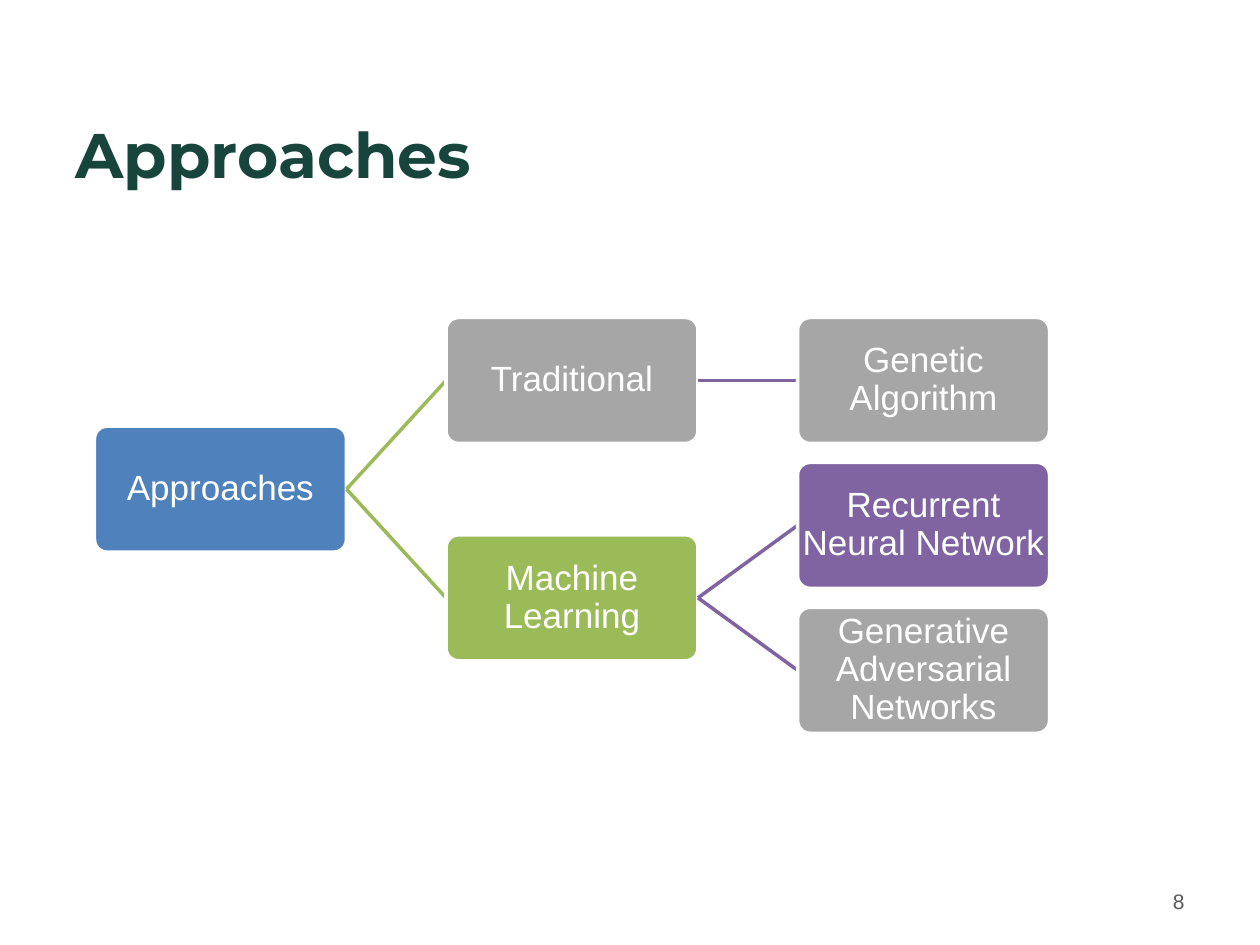
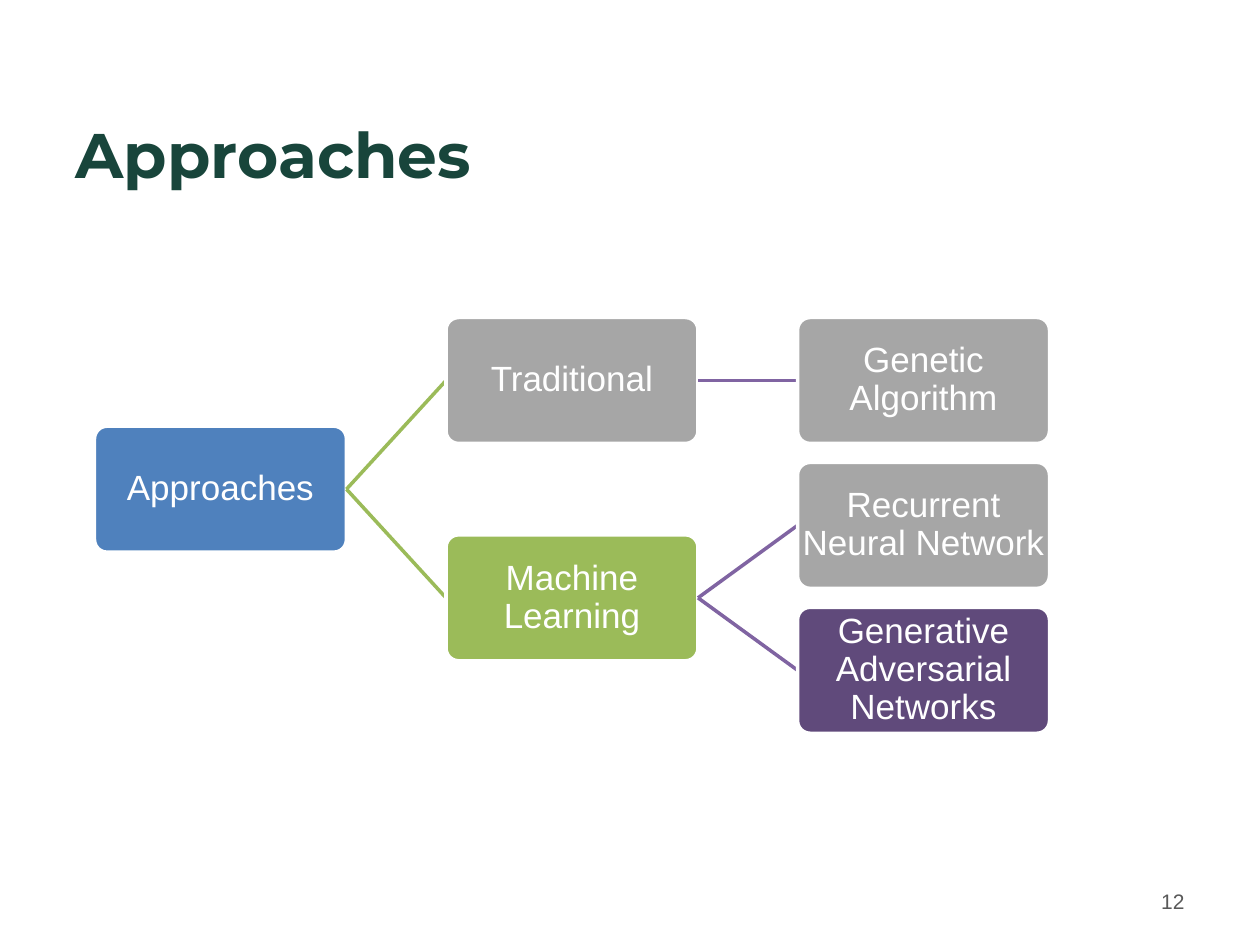
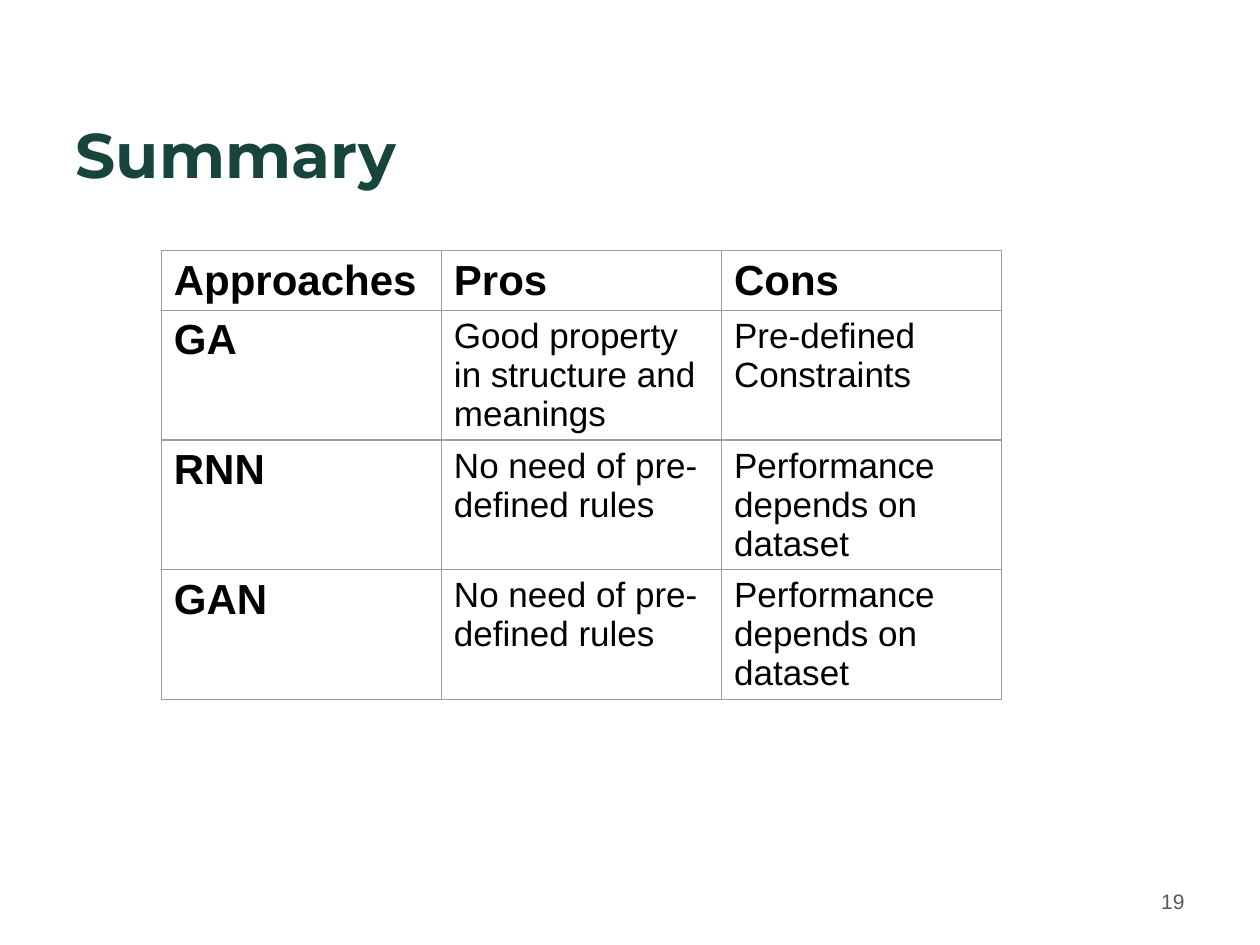
from lxml import etree
from pptx import Presentation
from pptx.dml.color import RGBColor
from pptx.enum.shapes import MSO_CONNECTOR, MSO_SHAPE
from pptx.enum.text import MSO_ANCHOR, MSO_AUTO_SIZE, PP_ALIGN
from pptx.oxml.ns import qn
from pptx.util import Inches, Pt

LINE = MSO_CONNECTOR.STRAIGHT
ROUND = MSO_SHAPE.ROUNDED_RECTANGLE
TOP, MIDDLE = MSO_ANCHOR.TOP, MSO_ANCHOR.MIDDLE
FIXED = MSO_AUTO_SIZE.NONE
LEFT, CENTER, RIGHT = PP_ALIGN.LEFT, PP_ALIGN.CENTER, PP_ALIGN.RIGHT

COLORS = {
    "title": "18453B",
    "page": "595959",
    "text": "000000",
    "white": "FFFFFF",
    "blue": "4F81BD",
    "green": "9BBB59",
    "purple": "8064A2",
    "plum": "604A7B",
    "gray": "A6A6A6",
    "grid": "9E9E9E",
}
EDGES = {1: "green", 2: "purple"}
NODES = [
    ("Approaches", 0, 0.75, None),
    ("Traditional", 1, 0, "Approaches"),
    ("Genetic Algorithm", 2, 0, "Traditional"),
    ("Machine Learning", 1, 1.5, "Approaches"),
    ("Recurrent Neural Network", 2, 1, "Machine Learning"),
    ("Generative Adversarial Networks", 2, 2, "Machine Learning"),
]
ACTIVE = {"Approaches": "blue", "Machine Learning": "green"}
ROWS = [
    ("Approaches", "Pros", "Cons"),
    ("GA", "Good property in structure and meanings", "Pre-defined Constraints"),
    ("RNN", "No need of pre-defined rules", "Performance depends on dataset"),
    ("GAN", "No need of pre-defined rules", "Performance depends on dataset"),
]


def rgb(name):
    return RGBColor.from_string(COLORS[name])


def write(frame, text, size=20, color="text", font="Arial", bold=False,
          align=LEFT, anchor=TOP, pad=(0.1, 0.05), space=None):
    frame.word_wrap = True
    frame.auto_size = FIXED
    frame.vertical_anchor = anchor
    frame.margin_left = frame.margin_right = Inches(pad[0])
    frame.margin_top = frame.margin_bottom = Inches(pad[1])
    para = frame.paragraphs[0]
    para.alignment = align
    para.line_spacing = space
    run = para.add_run()
    run.text = text
    run.font.size = Pt(size)
    run.font.name = font
    run.font.bold = bold
    run.font.color.rgb = rgb(color)


def add_page(deck, title, number):
    slide = deck.slides.add_slide(deck.slide_layouts[5])
    head = slide.shapes.title
    head.left, head.top = Inches(0.5), Inches(0.82)
    head.width, head.height = Inches(9), Inches(1.07)
    write(head.text_frame, title, size=36, color="title", font="Montserrat",
          bold=True, pad=(0.1, 0.1))
    foot = slide.shapes.add_textbox(Inches(7.17), Inches(6.95),
                                    Inches(2.33), Inches(0.4))
    write(foot.text_frame, str(number), size=12, color="page",
          align=RIGHT, anchor=MIDDLE)
    return slide


def add_node(slide, text, level, row, fill):
    node = slide.shapes.add_shape(ROUND, Inches(0.75 + 2.79 * level),
                                  Inches(2.52 + 1.15 * row), Inches(2), Inches(1))
    node.adjustments[0] = 0.1
    node.shadow.inherit = False
    node.fill.solid()
    node.fill.fore_color.rgb = rgb(fill)
    node.line.color.rgb = rgb("white")
    node.line.width = Pt(2)
    write(node.text_frame, text, color="white", align=CENTER, anchor=MIDDLE,
          pad=(0.01, 0.01), space=0.9)
    return node


def add_edge(slide, parent, color):
    edge = slide.shapes.add_connector(LINE, 0, 0, 0, 0)
    edge.line.color.rgb = rgb(color)
    edge.line.width = Pt(2)
    etree.SubElement(edge._element.spPr, qn("a:effectLst"))
    edge.begin_connect(parent, 3)
    return edge


def add_tree(slide, active):
    made = {}
    for name, level, row, parent in NODES:
        edge = add_edge(slide, made[parent], EDGES[level]) if parent else None
        made[name] = add_node(slide, name, level, row, active.get(name, "gray"))
        if edge:
            edge.end_connect(made[name], 1)


def add_border(cell):
    props = cell._tc.get_or_add_tcPr()
    for index, side in enumerate(("lnL", "lnR", "lnT", "lnB")):
        line = etree.Element(qn("a:" + side), w=str(Pt(0.75)))
        fill = etree.SubElement(line, qn("a:solidFill"))
        etree.SubElement(fill, qn("a:srgbClr"), val=COLORS["grid"])
        props.insert(index, line)


def add_grid(slide, rows):
    grid = slide.shapes.add_table(len(rows), len(rows[0]), Inches(1.28),
                                  Inches(1.99), Inches(6.67), Inches(1.64)).table
    grid.first_row = grid.horz_banding = False
    for r, row in enumerate(rows):
        for c, text in enumerate(row):
            cell = grid.cell(r, c)
            cell.fill.background()
            add_border(cell)
            head = r == 0 or c == 0
            write(cell.text_frame, text, size=24 if head else 20, bold=head)


def main():
    deck = Presentation()
    deck.slide_width, deck.slide_height = Inches(10), Inches(7.5)
    for number, focus, color in (
        (8, "Recurrent Neural Network", "purple"),
        (12, "Generative Adversarial Networks", "plum"),
    ):
        add_tree(add_page(deck, "Approaches", number), {**ACTIVE, focus: color})
    add_grid(add_page(deck, "Summary", 19), ROWS)
    deck.save("out.pptx")


if __name__ == "__main__":
    main()
